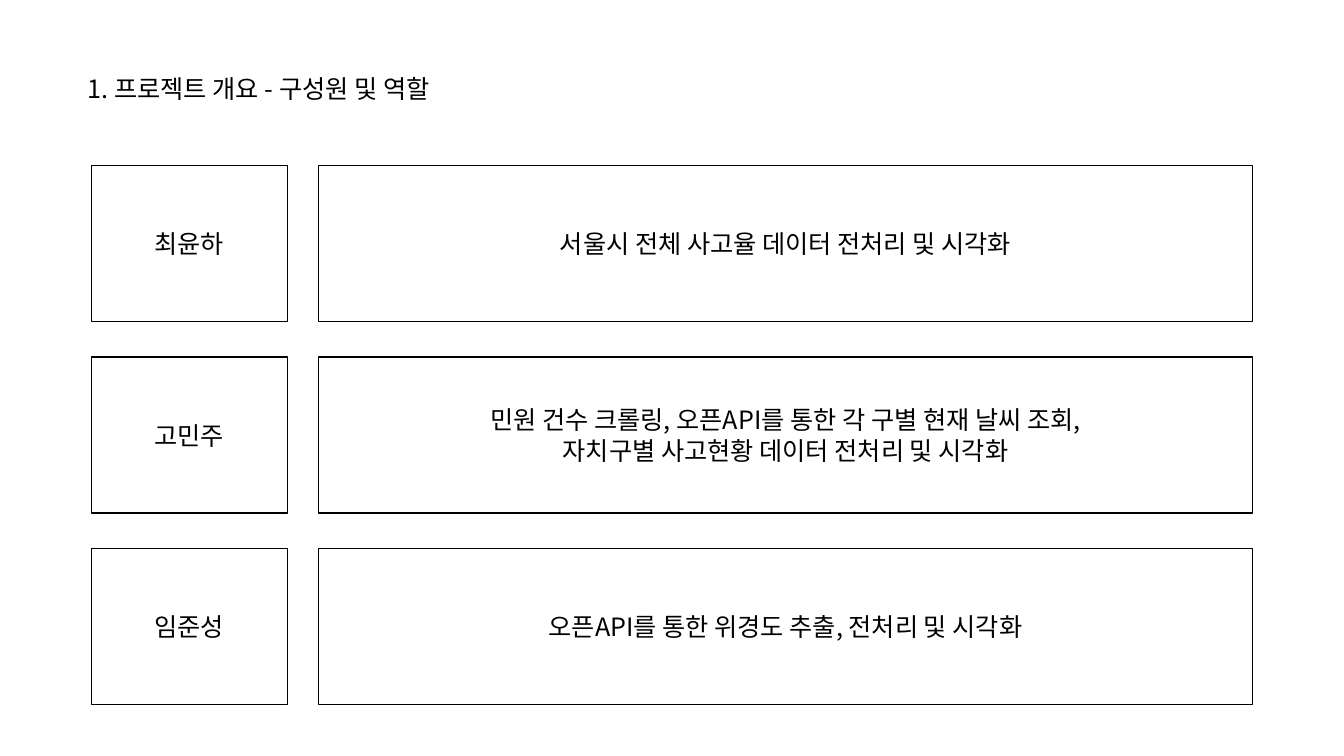
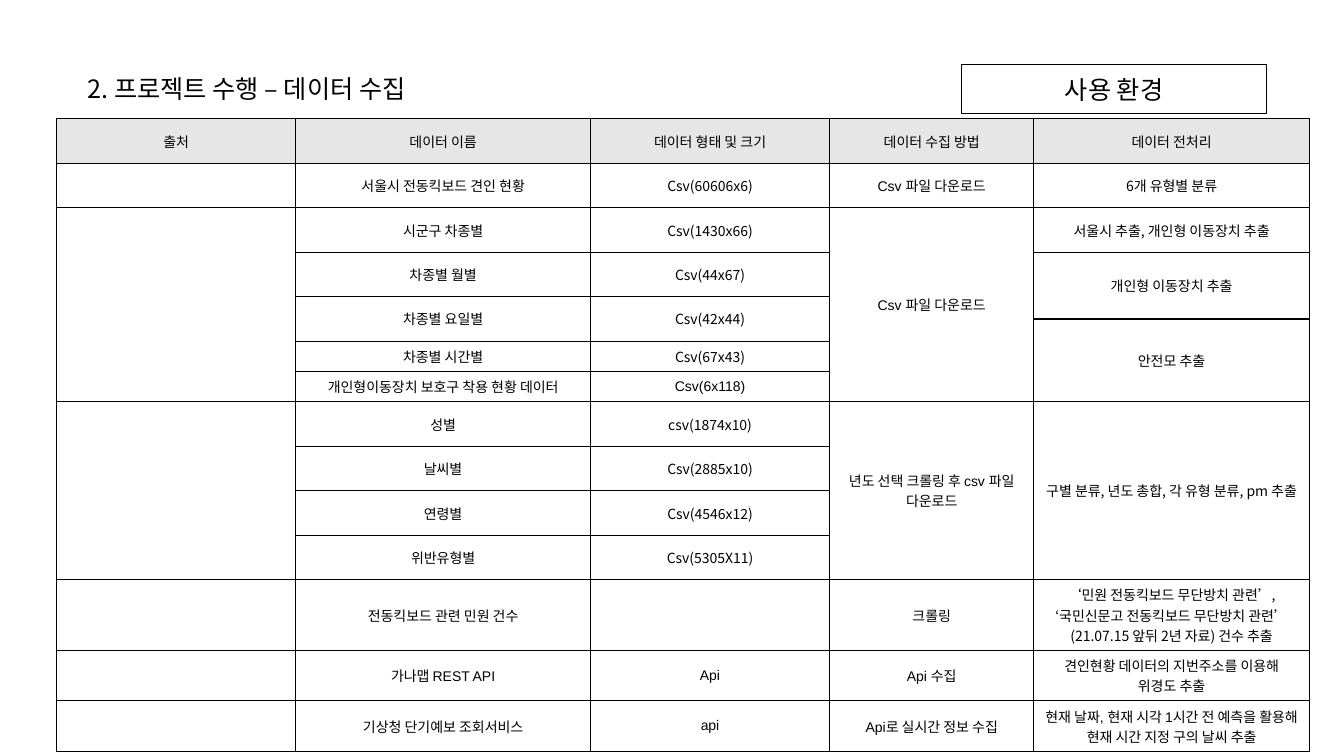
from lxml.etree import SubElement as Sub
from pptx import Presentation
from pptx.dml.color import RGBColor
from pptx.enum.shapes import MSO_SHAPE as Shape
from pptx.enum.text import MSO_ANCHOR as Anchor, MSO_AUTO_SIZE as Auto, PP_ALIGN as Align
from pptx.oxml.ns import qn
from pptx.util import Pt

BLACK = RGBColor(0x00, 0x00, 0x00)
GRAY = RGBColor(0xE7, 0xE6, 0xE6)
NOTO = "Noto Sans CJK KR"
ARIAL = "Arial"
INSET = {"margin_left": Pt(7.2), "margin_right": Pt(7.2),
         "margin_top": Pt(3.6), "margin_bottom": Pt(3.6)}
TITLE = {**INSET, "word_wrap": True, "auto_size": Auto.NONE,
         "vertical_anchor": Anchor.TOP}
BODY = {**INSET, "word_wrap": True, "vertical_anchor": Anchor.MIDDLE}
CELL = {**INSET, "vertical_anchor": Anchor.MIDDLE}

ROLES = [
    ("최윤하", "서울시 전체 사고율 데이터 전처리 및 시각화"),
    ("고민주", "민원 건수 크롤링, 오픈API를 통한 각 구별 현재 날씨 조회,\n"
     "자치구별 사고현황 데이터 전처리 및 시각화"),
    ("임준성", "오픈API를 통한 위경도 추출, 전처리 및 시각화"),
]

DATA = [
    ("출처", "데이터 이름", "데이터 형태 및 크기", "데이터 수집 방법", "데이터 전처리"),
    ("", "서울시 전동킥보드 견인 현황", "Csv(60606x6)", "Csv 파일 다운로드", "6개 유형별 분류"),
    ("", "시군구 차종별", "Csv(1430x66)", "Csv 파일 다운로드", "서울시 추출, 개인형 이동장치 추출"),
    ("", "차종별 월별", "Csv(44x67)", "", "개인형 이동장치 추출"),
    ("", "차종별 요일별", "Csv(42x44)", "", ""),
    ("", "", "", "", "안전모 추출"),
    ("", "차종별 시간별", "Csv(67x43)", "", ""),
    ("", "개인형이동장치 보호구 착용 현황 데이터", "Csv(6x118)", "", ""),
    ("", "성별", "csv(1874x10)", "년도 선택 크롤링 후 csv 파일 다운로드",
     "구별 분류, 년도 총합, 각 유형 분류, pm 추출"),
    ("", "날씨별", "Csv(2885x10)", "", ""),
    ("", "연령별", "Csv(4546x12)", "", ""),
    ("", "위반유형별", "Csv(5305X11)", "", ""),
    ("", "전동킥보드 관련 민원 건수", "", "크롤링",
     "‘민원 전동킥보드 무단방치 관련’, ‘국민신문고 전동킥보드 무단방치 관련’\n"
     "(21.07.15 앞뒤 2년 자료) 건수 추출"),
    ("", "가나맵 REST API", "Api", "Api 수집", "견인현황 데이터의 지번주소를 이용해 위경도 추출"),
    ("", "기상청 단기예보 조회서비스", "api", "Api로 실시간 정보 수집",
     "현재 날짜, 현재 시각 1시간 전 예측을 활용해 현재 시간 지정 구의 날씨 추출"),
]
COLS = [171, 210.4, 171, 145.7, 197]
ROWS = [31.8] * 4 + [15.9] * 2 + [21.7] * 2 + [31.8] * 4 + [50, 36, 36]
SPANS = [(2, 0, 6), (2, 3, 6), (3, 4, 2), (4, 1, 2), (4, 2, 2),
         (5, 4, 3), (8, 0, 4), (8, 3, 4), (8, 4, 4)]
LATIN = {(1, 1), (7, 1), (7, 2), (13, 1), (13, 2), (13, 4), (14, 2), (14, 4)}


def apply(item, props):
    """Set each named attribute on an object."""
    for name, value in props.items():
        setattr(item, name, value)


def write(frame, text, size=18, face=NOTO, align=Align.CENTER):
    """Fill a text frame with one paragraph per line."""
    for i, line in enumerate(text.split("\n")):
        para = frame.add_paragraph() if i else frame.paragraphs[0]
        para.alignment = align
        if not line:
            Sub(para._p, qn("a:endParaRPr"), sz=str(size * 100))
            continue
        run = para.add_run()
        run.text = line
        apply(run.font, {"size": Pt(size), "name": face, "bold": False})
        run.font.color.rgb = BLACK
        Sub(run._r.get_or_add_rPr(), qn("a:ea"), typeface=NOTO)


def head(slide, text):
    """Place the slide title."""
    title = slide.shapes.title
    apply(title, {"left": Pt(55.5), "top": Pt(49), "width": Pt(315), "height": Pt(29)})
    apply(title.text_frame, TITLE)
    write(title.text_frame, text, align=Align.LEFT)


def box(slide, left, top, width, height, text):
    """Draw an outlined box with centred text."""
    rect = slide.shapes.add_shape(
        Shape.RECTANGLE, Pt(left), Pt(top), Pt(width), Pt(height))
    rect.shadow.inherit = False
    rect.fill.background()
    rect.line.color.rgb = BLACK
    rect.line.width = Pt(1)
    apply(rect.text_frame, BODY)
    write(rect.text_frame, text)


def roles(slide, left, top, width, height):
    """Stack the member rows inside the given area."""
    gap, side, name = 25.2, 22.2, 139.8
    tall = (height - gap * (len(ROLES) - 1)) / len(ROLES)
    start = left + name + side
    for i, (who, task) in enumerate(ROLES):
        y = top + i * (tall + gap)
        box(slide, left, y, name, tall, who)
        box(slide, start, y, left + width - start, tall, task)


def border(cell):
    """Give a table cell four thin black edges."""
    props = cell._tc.get_or_add_tcPr()
    for edge in ("lnL", "lnR", "lnT", "lnB"):
        line = Sub(props, qn(f"a:{edge}"), w=str(Pt(1)))
        fill = Sub(line, qn("a:solidFill"))
        Sub(fill, qn("a:srgbClr"), val=str(BLACK))


def sources(slide, left, top):
    """Build the data source table."""
    table = slide.shapes.add_table(
        len(ROWS), len(COLS), Pt(left), Pt(top), Pt(sum(COLS)), Pt(sum(ROWS))).table
    apply(table, {"first_row": False, "horz_banding": False})
    for col, width in zip(table.columns, COLS):
        col.width = Pt(width)
    for row, height in zip(table.rows, ROWS):
        row.height = Pt(height)
    for r, line in enumerate(DATA):
        for c, text in enumerate(line):
            cell = table.cell(r, c)
            apply(cell, CELL)
            border(cell)
            if r == 0:
                cell.fill.solid()
                cell.fill.fore_color.rgb = GRAY
            else:
                cell.fill.background()
            latin = r == 0 or c == 3 or (r, c) in LATIN
            write(cell.text_frame, text, 10, ARIAL if latin else NOTO)
    for r, c, count in SPANS:
        table.cell(r, c).merge(table.cell(r + count - 1, c))


def main():
    """Build and save both slides."""
    deck = Presentation()
    apply(deck, {"slide_width": Pt(960), "slide_height": Pt(540)})
    plain = deck.slide_layouts[5]

    team = deck.slides.add_slide(plain)
    head(team, "1. 프로젝트 개요 - 구성원 및 역할")
    roles(team, 65.4, 118, 829.4, 385.4)

    data = deck.slides.add_slide(plain)
    sources(data, 40.3, 84.8)
    head(data, "2. 프로젝트 수행 – 데이터 수집")
    box(data, 687, 46, 217.5, 35.2, "사용 환경")

    deck.save("out.pptx")


if __name__ == "__main__":
    main()
